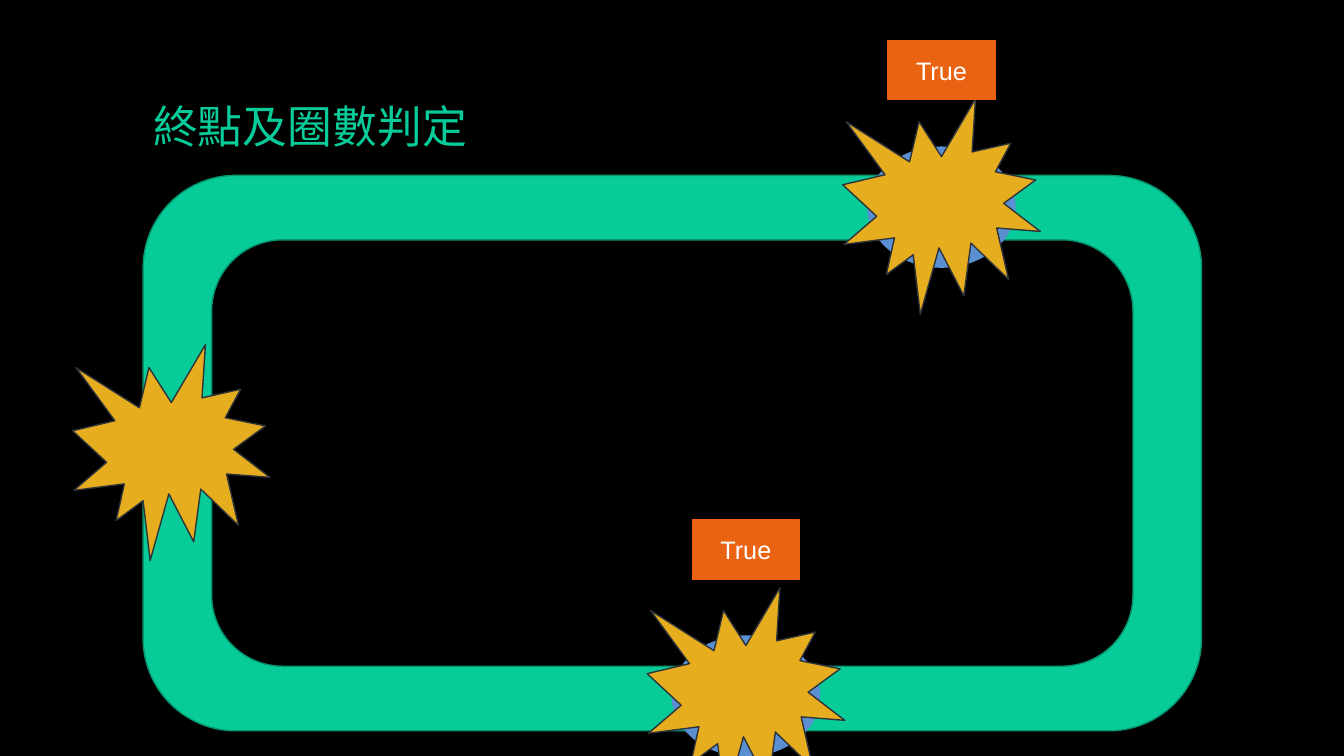
from pptx import Presentation
from pptx import util as u
from pptx.dml.color import RGBColor
from pptx.enum import shapes, text
from pptx.oxml.ns import qn
from lxml import etree

COLS, ROWS = 40, 22.5
KIND = shapes.MSO_SHAPE
SIDE = text.PP_ALIGN
ANCHOR = text.MSO_ANCHOR


def paint(code):
    return RGBColor.from_string(code)


def write(frame, words, font="Arial", size=18, color="FFFFFF",
          align=SIDE.CENTER, anchor=ANCHOR.MIDDLE, space=1.0):
    frame.word_wrap = True
    frame.vertical_anchor = anchor
    par = frame.paragraphs[0]
    par.alignment = align
    par.line_spacing = space
    run = par.add_run()
    run.text = words
    run.font.name = font
    run.font.size = u.Pt(size)
    run.font.color.rgb = paint(color)
    east = etree.SubElement(run.font._element, qn("a:ea"))
    east.set("typeface", font)


class Board:
    green, edge, black, white = "07CB98", "059670", "000000", "FFFFFF"
    blue, gold, dark, orange = "5A90D1", "E6AD1E", "2F333A", "EA6312"

    def __init__(self, deck):
        self.col = deck.slide_width / COLS
        self.row = deck.slide_height / ROWS
        self.slide = deck.slides.add_slide(deck.slide_layouts[6])
        fill = self.slide.background.fill
        fill.solid()
        fill.fore_color.rgb = paint(self.black)

    def place(self, x, y, w, h):
        return (round(x * self.col), round(y * self.row),
                round(w * self.col), round(h * self.row))

    def shape(self, kind, box, fill, line):
        item = self.slide.shapes.add_shape(kind, *self.place(*box))
        item.shadow.inherit = False
        item.fill.solid()
        item.fill.fore_color.rgb = paint(fill)
        item.line.color.rgb = paint(line)
        item.line.width = u.Pt(1)
        return item

    def title(self, words, box):
        item = self.slide.shapes.add_textbox(*self.place(*box))
        write(item.text_frame, words, font="Noto Sans CJK SC", size=32,
              color=self.green, align=SIDE.LEFT, anchor=ANCHOR.BOTTOM, space=0.9)

    def track(self, x, y, w, h, side, top):
        inner = (x + side, y + top, w - 2 * side, h - 2 * top)
        for box, fill in (((x, y, w, h), self.green), (inner, self.black)):
            self.shape(KIND.ROUNDED_RECTANGLE, box, fill, self.edge)

    def finish(self, x, y, w, h, count):
        for i in range(count):
            for j in range(2):
                fill = self.white if (i + j) % 2 else self.black
                self.shape(KIND.RECTANGLE, (x + i * w, y + j * h, w, h),
                           fill, self.black)

    def disc(self, x, y):
        self.shape(KIND.OVAL, (x + 0.75, y + 1.44, 4.38, 3.57),
                   self.blue, self.blue)

    def burst(self, x, y):
        self.shape(KIND.EXPLOSION1, (x, y, 5.88, 6.42), self.gold, self.dark)

    def sign(self, words, x, y):
        item = self.shape(KIND.RECTANGLE, (x, y, 3.18, 1.77),
                          self.orange, self.orange)
        write(item.text_frame, words)


def main():
    deck = Presentation()
    deck.slide_width = u.Inches(13.33)
    deck.slide_height = u.Inches(7.5)
    board = Board(deck)
    left, wide = 4.26, 31.5
    side = 2.04
    board.title("終點及圈數判定", (left, 1.2, wide, 3.51))
    board.track(left, 5.22, wide, 16.53, side, 1.92)
    board.finish(left, 13.05, side / 6, 0.42, 6)
    for x, y, top in ((25.08, 2.94, 1.2), (19.26, 17.49, 15.48)):
        board.disc(x, y)
        board.burst(x, y)
        board.sign("True", x + 1.35, top)
    board.burst(2.16, 10.26)
    deck.save("out.pptx")


if __name__ == "__main__":
    main()
